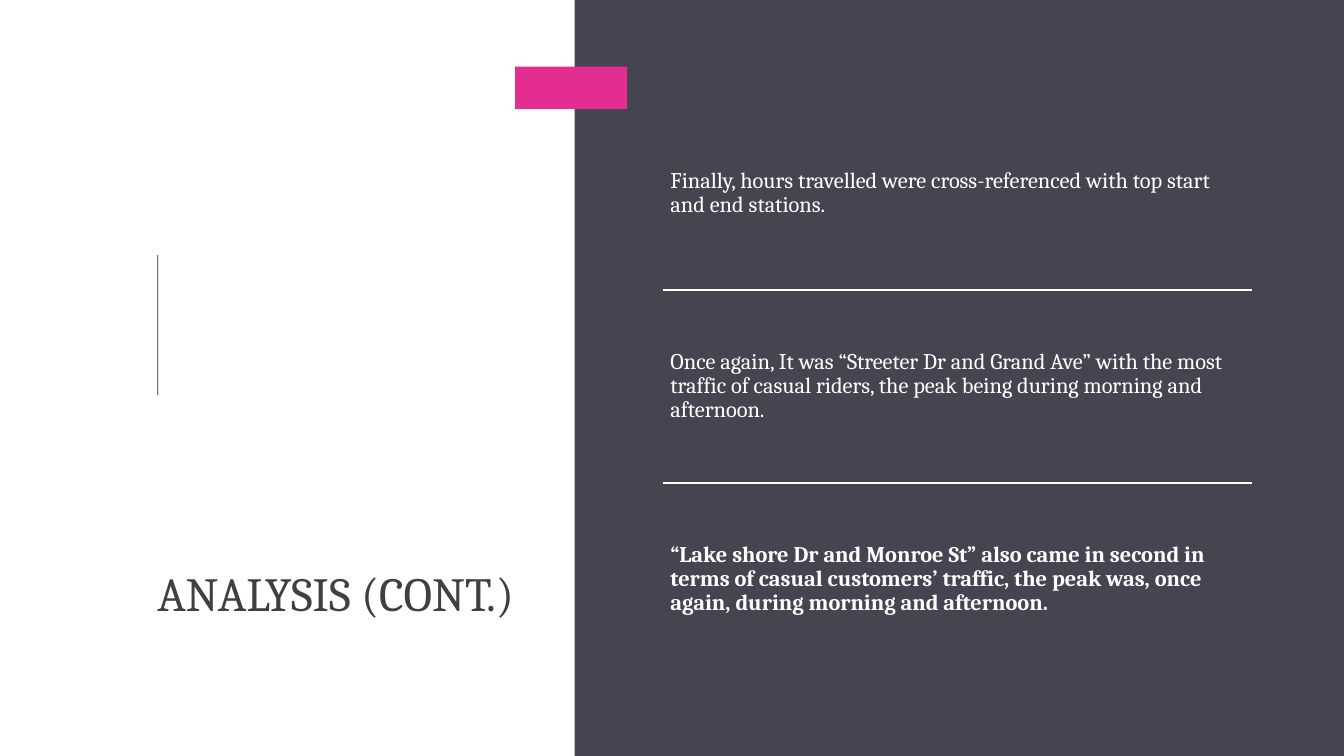
from dataclasses import dataclass

from lxml import etree
from pptx import Presentation
from pptx.dml.color import RGBColor
from pptx.enum.shapes import MSO_CONNECTOR, MSO_SHAPE
from pptx.enum.text import MSO_ANCHOR, MSO_AUTO_SIZE, PP_ALIGN
from pptx.oxml.ns import qn
from pptx.slide import Slide
from pptx.text.text import TextFrame
from pptx.util import Inches, Pt

RECTANGLE = MSO_SHAPE.RECTANGLE
STRAIGHT = MSO_CONNECTOR.STRAIGHT
MIDDLE = MSO_ANCHOR.MIDDLE
BOTTOM = MSO_ANCHOR.BOTTOM
LEFT = PP_ALIGN.LEFT
NO_AUTOFIT = MSO_AUTO_SIZE.NONE

WHITE = RGBColor(0xFF, 0xFF, 0xFF)
SLATE = RGBColor(0x45, 0x45, 0x51)
INK = RGBColor(0x24, 0x28, 0x2B)
PINK = RGBColor(0xE3, 0x2D, 0x91)
TITLE_GREY = RGBColor(0x40, 0x40, 0x40)
FONT = "Cambria"

FINDINGS_LEFT = 6.58
FINDINGS_TOP = 0.96
FINDINGS_WIDTH = 5.84
FINDING_HEIGHT = 1.915


@dataclass
class Block:
    left: float
    top: float
    width: float
    height: float
    color: RGBColor


@dataclass
class Finding:
    text: str
    bold: bool = False


BLOCKS = [
    Block(5.7, 0, 7.63, 7.5, SLATE),
    Block(1.56, 2.53, 0.01, 1.39, INK),
    Block(5.11, 0.66, 1.11, 0.42, PINK),
]

FINDINGS = [
    Finding("Finally, hours travelled were cross-referenced with top start and end stations."),
    Finding("Once again, It was “Streeter Dr and Grand Ave” with the most traffic of casual "
            "riders, the peak being during morning and afternoon."),
    Finding("“Lake shore Dr and Monroe St” also came in second in terms of casual customers’ "
            "traffic, the peak was, once again, during morning and afternoon.", bold=True),
]


def add_block(s: Slide, block: Block) -> None:
    sp = s.shapes.add_shape(RECTANGLE, Inches(block.left), Inches(block.top),
                            Inches(block.width), Inches(block.height))
    sp.shadow.inherit = False
    sp.fill.solid()
    sp.fill.fore_color.rgb = block.color
    sp.line.fill.background()


def write_text(tf: TextFrame, text: str, size: int, color: RGBColor, bold: bool,
               anchor: MSO_ANCHOR, inset: float) -> None:
    tf.text = text
    tf.word_wrap = True
    tf.auto_size = NO_AUTOFIT
    tf.vertical_anchor = anchor
    tf.margin_left = tf.margin_right = tf.margin_top = tf.margin_bottom = Inches(inset)
    p = tf.paragraphs[0]
    p.alignment = LEFT
    p.line_spacing = 0.9
    r = p.runs[0]
    r.font.name = FONT
    r.font.size = Pt(size)
    r.font.bold = bold
    r.font.color.rgb = color


def add_title(s: Slide, text: str) -> None:
    title = s.shapes.title
    title.left, title.top = Inches(1.56), Inches(4.41)
    title.width, title.height = Inches(4), Inches(1.76)
    write_text(title.text_frame, text, 34, TITLE_GREY, False, BOTTOM, 0)


def add_finding(s: Slide, finding: Finding, top: float) -> None:
    box = s.shapes.add_textbox(Inches(FINDINGS_LEFT), Inches(top),
                               Inches(FINDINGS_WIDTH), Inches(FINDING_HEIGHT))
    write_text(box.text_frame, finding.text, 16, WHITE, finding.bold, MIDDLE, 0.07)


def add_divider(s: Slide, y: float) -> None:
    line = s.shapes.add_connector(STRAIGHT, Inches(FINDINGS_LEFT), Inches(y),
                                  Inches(FINDINGS_LEFT + FINDINGS_WIDTH), Inches(y))
    line.line.color.rgb = WHITE
    line.line.width = Pt(1.75)
    etree.SubElement(line._element.spPr, qn("a:effectLst"))


def main() -> None:
    prs = Presentation()
    prs.slide_width, prs.slide_height = Inches(13.33), Inches(7.5)
    s = prs.slides.add_slide(prs.slide_layouts[5])
    s.background.fill.solid()
    s.background.fill.fore_color.rgb = WHITE

    for block in BLOCKS:
        add_block(s, block)
    add_title(s, "ANALYSIS (CONT.)")
    for i, finding in enumerate(FINDINGS):
        top = FINDINGS_TOP + i * FINDING_HEIGHT
        if i:
            add_divider(s, top)
        add_finding(s, finding, top)

    prs.save("out.pptx")


if __name__ == "__main__":
    main()
